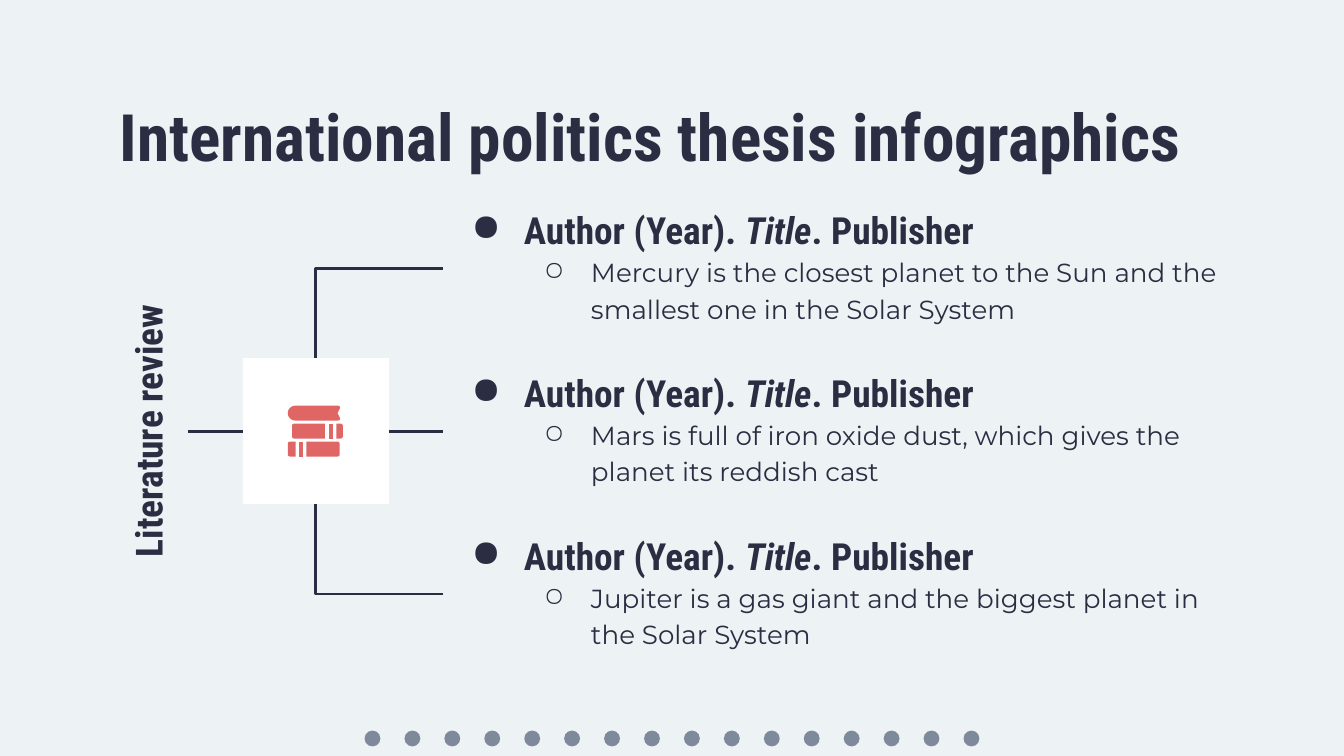
"""Build the literature review slide with three linked sources."""
from math import cos, radians, sin
from lxml.etree import SubElement
from pptx import Presentation
from pptx.dml.color import RGBColor
from pptx.enum.shapes import MSO_CONNECTOR, MSO_SHAPE
from pptx.enum.text import MSO_ANCHOR, PP_ALIGN
from pptx.oxml.ns import qn
from pptx.util import Cm, Pt

HUES = {"back": "EDF2F4", "dot": "7E899C", "ink": "2B2D42", "card": "FFFFFF", "book": "E06666"}
HEAD, BODY = "Roboto Condensed", "Montserrat"


def paint(shape, hue):
    shape.shadow.inherit = False
    shape.fill.solid()
    shape.fill.fore_color.rgb = RGBColor.from_string(HUES[hue])
    shape.line.fill.background()


def add_box(left, top, width, height, anchor, styles):
    box = slide.shapes.add_textbox(Cm(left), Cm(top), Cm(width), Cm(height))
    frame = box.text_frame
    frame.word_wrap = True
    frame.vertical_anchor = anchor
    frame.margin_left = frame.margin_right = frame.margin_top = frame.margin_bottom = Cm(0.25)
    for i, (texts, face, size, bold, mark) in enumerate(styles):
        para = frame.add_paragraph() if i else frame.paragraphs[0]
        for text in texts:
            run = para.add_run()
            run.text = text
            if text == "Title":
                run.font.italic = True
        if mark:
            para.level = i
            para.line_spacing = 1.15
            props = para._p.get_or_add_pPr()
            margin, indent = [(1.27, -0.99), (2.54, -0.89)][i]
            props.set("marL", str(Cm(margin)))
            props.set("indent", str(Cm(indent)))
            tint = SubElement(props, qn("a:buClr"))
            SubElement(tint, qn("a:srgbClr")).set("val", HUES["ink"])
            SubElement(props, qn("a:buChar")).set("char", mark)
        para.font.name, para.font.size, para.font.bold = face, Pt(size), bold
        para.font.color.rgb = RGBColor.from_string(HUES["ink"])
    return box


deck = Presentation()
deck.slide_width, deck.slide_height = Cm(25.4), Cm(14.29)
slide = deck.slides.add_slide(deck.slide_layouts[6])
slide.background.fill.solid()
slide.background.fill.fore_color.rgb = RGBColor.from_string(HUES["back"])

for i in range(16):
    dot = slide.shapes.add_shape(MSO_SHAPE.OVAL, Cm(6.89 + 11.32 * i / 15), Cm(13.81), Cm(0.3), Cm(0.3))
    paint(dot, "dot")

add_box(2.01, 1.57, 21.39, 1.57, MSO_ANCHOR.TOP,
        [(["International politics thesis infographics"], HEAD, 35, True, None)])
label = add_box(-0.51, 7.37, 6.6, 1.55, MSO_ANCHOR.MIDDLE,
                [(["Literature review"], HEAD, 20, True, None)])
label.text_frame.paragraphs[0].alignment = PP_ALIGN.CENTER
label.rotation = 270

facts = [
    "Mercury is the closest planet to the Sun and the smallest one in the Solar System",
    "Mars is full of iron oxide dust, which gives the planet its reddish cast",
    "Jupiter is a gas giant and the biggest planet in the Solar System",
]
for i, fact in enumerate(facts):
    add_box(8.38, 3.79 + 3.08 * i, 15.04, 2.59, MSO_ANCHOR.BOTTOM,
            [(["Author (Year). ", "Title", ". Publisher"], HEAD, 20, True, "●"),
             ([fact], BODY, 14, False, "○")])

card = slide.shapes.add_shape(MSO_SHAPE.RECTANGLE, Cm(4.59), Cm(6.77), Cm(2.76), Cm(2.76))
paint(card, "card")

links = [
    (8.37, 5.07, 5.97, 6.77),
    (8.37, 11.23, 5.97, 9.53),
    (7.35, 8.15, 8.37, 8.15),
    (3.55, 8.15, 4.59, 8.15),
]
for x1, y1, x2, y2 in links:
    link = slide.shapes.add_connector(MSO_CONNECTOR.ELBOW, Cm(x1), Cm(y1), Cm(x2), Cm(y2))
    link.line.width = Pt(1.5)
    link.line.color.rgb = RGBColor.from_string(HUES["ink"])
    props = link._element.spPr
    SubElement(props, qn("a:effectLst"))
    if y1 != y2:
        props.find(qn("a:prstGeom")).set("prst", "bentConnector2")

books = [
    (5.44, 6.43, 7.67, 0.14, 0.04, 0.05),
    (5.52, 6.14, 8.01, 0.04, 0, 0),
    (6.22, 6.3, 8.01, 0, 0, 0),
    (6.36, 6.48, 8.01, 0, 0.04, 0),
    (5.44, 5.59, 8.35, 0.04, 0, 0),
    (5.66, 5.73, 8.35, 0, 0, 0),
    (5.79, 6.42, 8.35, 0, 0.04, 0),
]
for left, right, top, round1, round2, dent in books:
    base = top + 0.28
    turns = [
        (left + round1, top + round1, round1, 180),
        (right - round2, top + round2, round2, 270),
        (right - round2, base - round2, round2, 0),
        (left + round1, base - round1, round1, 90),
    ]
    dots = []
    for x, y, size, start in turns:
        if dent and start == 0:
            dots.append((right - dent, top + 0.14))
        for turn in range(start, start + 91, 15) if size else [start]:
            dots.append((x + size * cos(radians(turn)), y + size * sin(radians(turn))))
    dots = [(Cm(x), Cm(y)) for x, y in dots]
    pen = slide.shapes.build_freeform(*dots[0])
    pen.add_line_segments(dots[1:], close=True)
    paint(pen.convert_to_shape(), "book")

deck.save("out.pptx")
